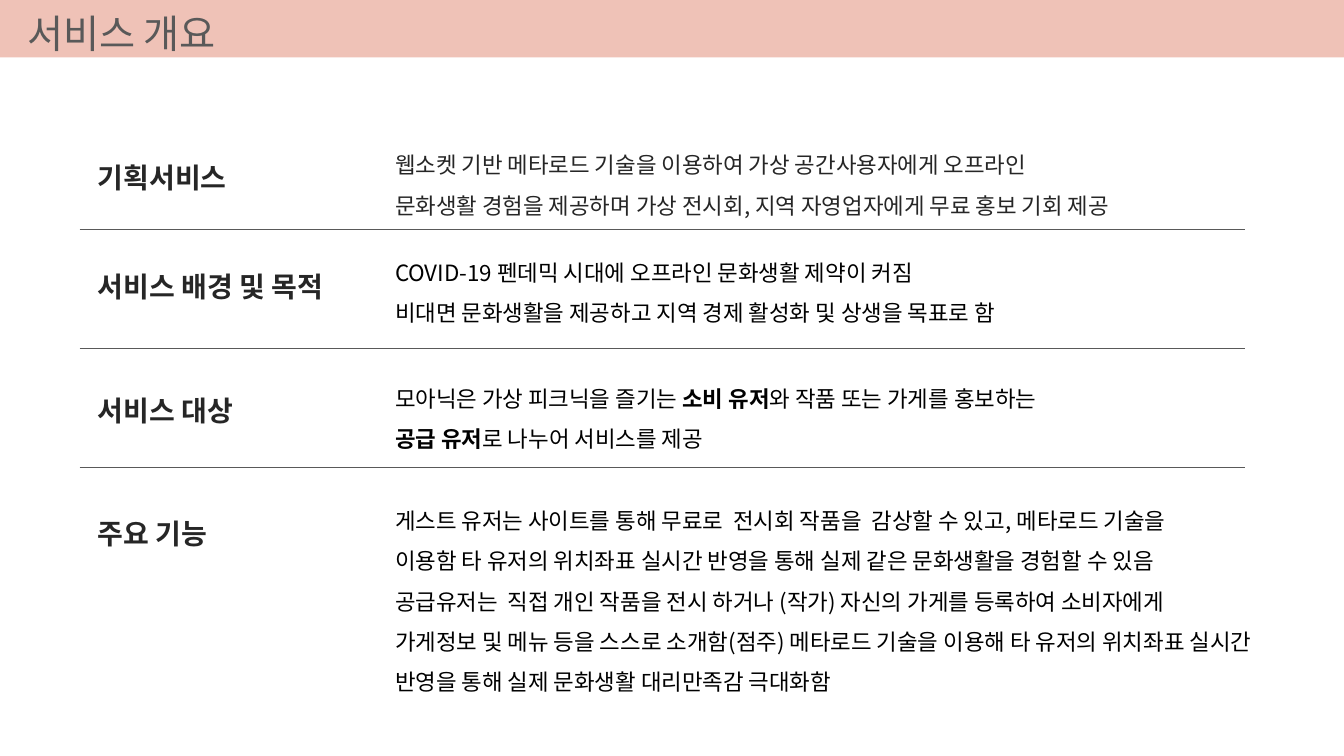
from lxml.etree import SubElement
from pptx import Presentation
from pptx.dml.color import RGBColor
from pptx.enum.shapes import MSO_CONNECTOR, MSO_SHAPE
from pptx.enum.text import MSO_AUTO_SIZE
from pptx.oxml.ns import qn
from pptx.util import Inches, Pt

FONT = "Noto Sans CJK KR"
PINK, GRAY, DARK, BLACK = "EFC2B7", "595959", "262626", "000000"


def color(value):
    return RGBColor.from_string(value)


def add_text(left, top, width, height, paragraphs, size, ink, spacing=1.0):
    """Each paragraph is a list of (text, bold) runs."""
    box = page.shapes.add_textbox(Inches(left), Inches(top), Inches(width), Inches(height))
    frame = box.text_frame
    frame.word_wrap = True
    frame.auto_size = MSO_AUTO_SIZE.SHAPE_TO_FIT_TEXT
    for index, runs in enumerate(paragraphs):
        para = frame.add_paragraph() if index else frame.paragraphs[0]
        para.line_spacing = spacing
        for text, bold in runs:
            span = para.add_run()
            span.text = text
            span.font.size = Pt(size)
            span.font.bold = bold
            span.font.color.rgb = color(ink)
            span.font.name = FONT
            # Korean glyphs take the East Asian font
            SubElement(span._r.get_or_add_rPr(), qn("a:ea")).set("typeface", FONT)


deck = Presentation()
deck.slide_width = Inches(13.33)
deck.slide_height = Inches(7.5)
page = deck.slides.add_slide(deck.slide_layouts[6])

# Title band
band = page.shapes.add_shape(MSO_SHAPE.RECTANGLE, 0, 0, deck.slide_width, Inches(0.57))
band.shadow.inherit = False
band.fill.solid()
band.fill.fore_color.rgb = color(PINK)
band.line.fill.background()
add_text(0.17, 0.04, 2.88, 0.57, [[("서비스 개요", False)]], 28, GRAY)

# Sections: heading, heading top, heading width, body top, body height, body color, body
sections = [
    ("기획서비스", 1.54, 1.65, 1.32, 0.88, DARK, [
        [("웹소켓 기반 메타로드 기술을 이용하여 가상 공간사용자에게 오프라인", False)],
        [("문화생활 경험을 제공하며 가상 전시회, 지역 자영업자에게 무료 홍보 기회 제공", False)],
    ]),
    ("서비스 배경 및 목적", 2.62, 2.81, 2.39, 0.88, BLACK, [
        [("COVID-19 펜데믹 시대에 오프라인 문화생활 제약이 커짐", False)],
        [("비대면 문화생활을 제공하고 지역 경제 활성화 및 상생을 목표로 함", False)],
    ]),
    ("서비스 대상", 3.85, 1.88, 3.64, 0.88, BLACK, [
        [("모아닉은 가상 피크닉을 즐기는 ", False), ("소비 유저", True),
         ("와 작품 또는 가게를 홍보하는", False)],
        [("공급 유저", True), ("로 나누어 서비스를 제공", False)],
    ]),
    ("주요 기능", 5.07, 1.65, 4.85, 2.09, BLACK, [
        [("게스트 유저는 사이트를 통해 무료로  전시회 작품을  감상할 수 있고, 메타로드 기술을", False)],
        [("이용함 타 유저의 위치좌표 실시간 반영을 통해 실제 같은 문화생활을 경험할 수 있음", False)],
        [("공급유저는  직접 개인 작품을 전시 하거나 (작가) 자신의 가게를 등록하여 소비자에게", False)],
        [("가게정보 및 메뉴 등을 스스로 소개함(점주) 메타로드 기술을 이용해 타 유저의 위치좌표 "
          "실시간 반영을 통해 실제 문화생활 대리만족감 극대화함", False)],
    ]),
]
for heading, heading_top, heading_width, body_top, body_height, ink, body in sections:
    add_text(0.87, heading_top, heading_width, 0.44, [[(heading, True)]], 20, DARK)
    add_text(3.82, body_top, 8.76, body_height, body, 16, ink, spacing=1.5)

# Evenly spaced rules between the sections
for index in range(len(sections) - 1):
    y = Inches(2.28 + 1.18 * index)
    rule = page.shapes.add_connector(MSO_CONNECTOR.STRAIGHT, Inches(0.79), y, Inches(12.35), y)
    rule.line.color.rgb = color(GRAY)
    rule.line.width = Pt(0.5)
    SubElement(rule._element.spPr, qn("a:effectLst"))

deck.save("out.pptx")
